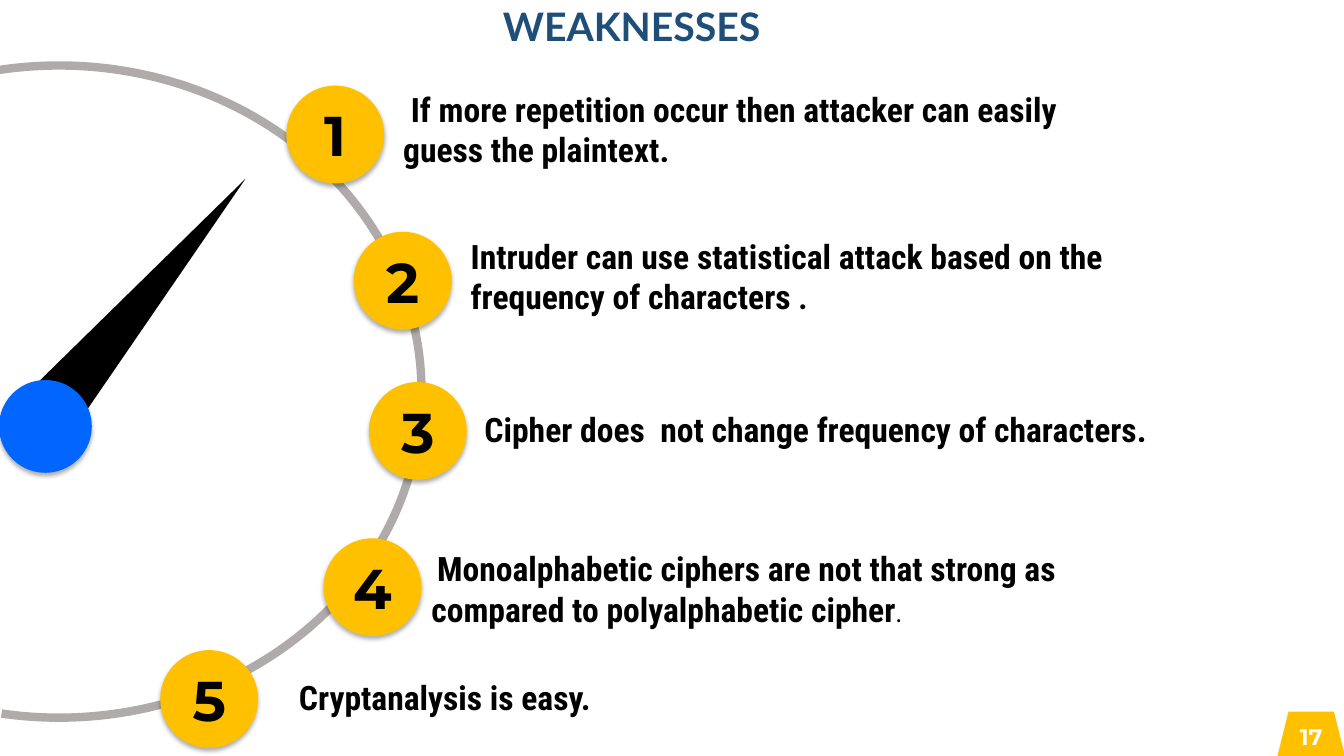
from lxml.etree import SubElement
from pptx import Presentation
from pptx.dml.color import RGBColor
from pptx.enum.shapes import MSO_SHAPE as Preset
from pptx.enum.text import MSO_ANCHOR as Anchor, PP_ALIGN as Align
from pptx.oxml.ns import qn
from pptx.util import Inches, Pt

BLACK = RGBColor(0x00, 0x00, 0x00)
WHITE = RGBColor(0xFF, 0xFF, 0xFF)
NAVY = RGBColor(0x1F, 0x4E, 0x79)
BLUE = RGBColor(0x00, 0x66, 0xFF)
GOLD = RGBColor(0xFF, 0xC0, 0x00)
GREY = RGBColor(0xAF, 0xAB, 0xAB)

BODY_FONT, NUMBER_FONT, TITLE_FONT = "Roboto Condensed", "Montserrat", "Lato"
WIDTH, HEIGHT = 13.33, 7.5
BADGE, HUB = 0.97, 0.92
TEXT_WIDTH = 7.41

TITLE = "WEAKNESSES"
PAGE = "17"
WEAKNESSES = [
    ((2.84, 0.85), (3.9, 0.83, 1.21),
     [(" If more repetition occur then attacker can easily guess the plaintext.", 24, BODY_FONT, True)]),
    ((3.51, 2.3), (4.57, 2.29, 0.91),
     [("Intruder can use statistical attack based on the frequency of characters", 24, BODY_FONT, True),
      (" .", 24, "Calibri", True)]),
    ((3.66, 3.79), (4.63, 4.01, 0.5),
     [(" Cipher does  not change frequency of characters.", 24, BODY_FONT, True)]),
    ((3.21, 5.34), (4.18, 5.39, 0.91),
     [(" ", 18, BODY_FONT, True),
      ("Monoalphabetic ciphers are not that strong as compared to polyalphabetic cipher", 24, BODY_FONT, True),
      (".", 18, "Calibri", False)]),
    ((1.59, 6.45), (2.79, 6.67, 0.5),
     [(" Cryptanalysis is easy.", 24, BODY_FONT, True)]),
]


def style(font, size, name, color, bold=True):
    font.size = Pt(size)
    font.name = name
    font.bold = bold
    font.color.rgb = color


def add_preset(slide, preset, box, fill=None):
    shape = slide.shapes.add_shape(preset, *map(Inches, box))
    if fill is None:
        shape.fill.background()
    else:
        shape.fill.solid()
        shape.fill.fore_color.rgb = fill
        shape.line.fill.background()
    shape.shadow.inherit = False
    return shape


def add_disc(slide, left, top, size, fill):
    disc = add_preset(slide, Preset.OVAL, (left, top, size, size), fill)
    effects = disc._element.spPr.find(qn("a:effectLst"))
    shadow = SubElement(effects, qn("a:outerShdw"), blurRad=str(Pt(3.5)),
                        dist=str(Pt(2.2)), dir="5400000", algn="t", rotWithShape="0")
    color = SubElement(shadow, qn("a:srgbClr"), val="000000")
    SubElement(color, qn("a:alpha"), val="32000")
    return disc


def add_label(shape, text, size, color):
    frame = shape.text_frame
    frame.word_wrap = False
    frame.vertical_anchor = Anchor.MIDDLE
    paragraph = frame.paragraphs[0]
    paragraph.text = text
    paragraph.alignment = Align.CENTER
    style(paragraph.font, size, NUMBER_FONT, color)


def add_text(slide, box, runs, color):
    frame = slide.shapes.add_textbox(*map(Inches, box)).text_frame
    frame.word_wrap = True
    for text, size, name, bold in runs:
        run = frame.paragraphs[0].add_run()
        run.text = text
        style(run.font, size, name, color, bold)


def main():
    presentation = Presentation()
    presentation.slide_width = Inches(WIDTH)
    presentation.slide_height = Inches(HEIGHT)
    slide = presentation.slides.add_slide(presentation.slide_layouts[6])

    needle = add_preset(slide, Preset.ISOSCELES_TRIANGLE, (1.1, 1.4, 0.62, 3.19), BLACK)
    needle.rotation = 40
    add_disc(slide, -0.01, 3.77, HUB, BLUE)

    dial = add_preset(slide, Preset.ARC, (-3.01, 0.65, 7.19, 6.47))
    dial.adjustments[0] = 155.67
    dial.adjustments[1] = 60.07
    dial.line.color.rgb = GREY
    dial.line.width = Pt(6)

    for number, ((left, top), (text_left, text_top, height), runs) in enumerate(WEAKNESSES, 1):
        add_label(add_disc(slide, left, top, BADGE, GOLD), str(number), 40, BLACK)
        add_text(slide, (text_left, text_top, TEXT_WIDTH, height), runs, BLACK)

    add_text(slide, (4.89, -0.03, 6.22, 0.57), [(TITLE, 28, TITLE_FONT, True)], NAVY)
    page_tab = add_preset(slide, Preset.TRAPEZOID, (WIDTH - 0.66, HEIGHT - 0.44, 0.67, 0.44), GOLD)
    add_label(page_tab, PAGE, 16, WHITE)

    presentation.save("out.pptx")


if __name__ == "__main__":
    main()
